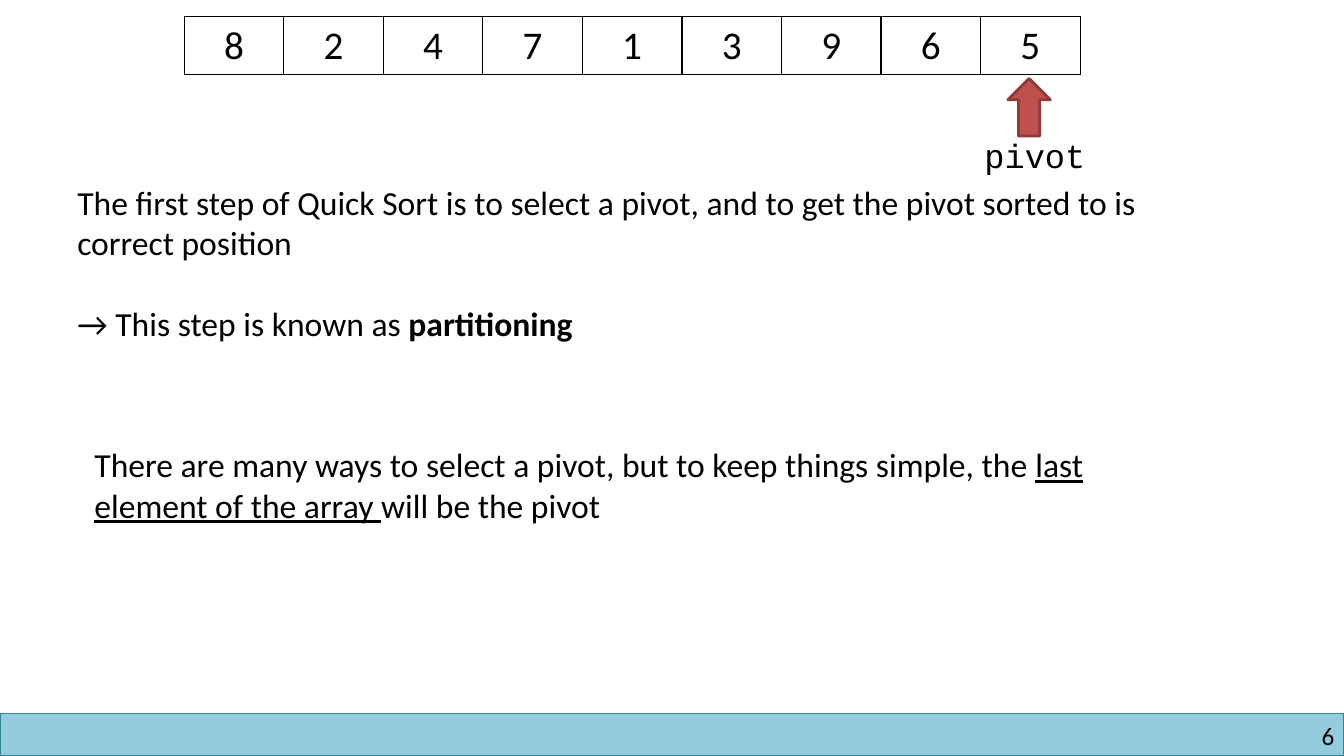
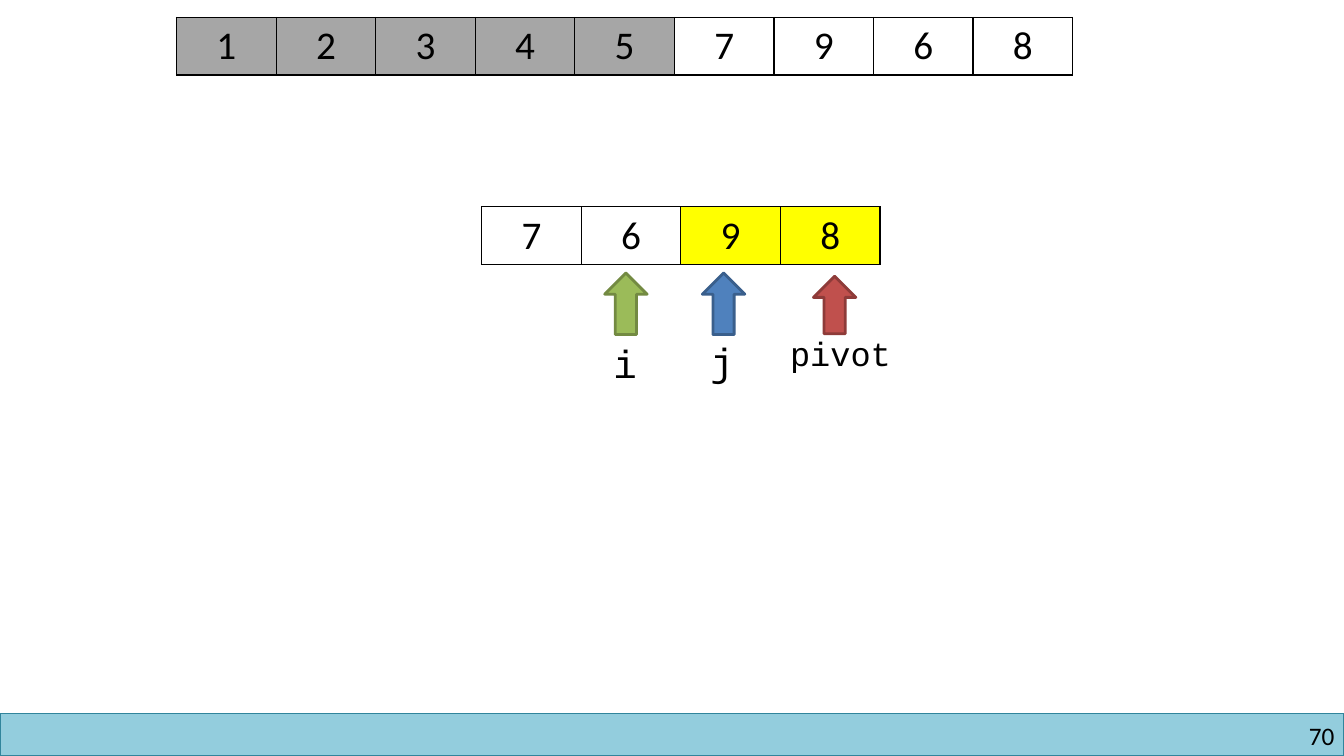
from dataclasses import dataclass

from lxml.etree import SubElement
from pptx import Presentation
from pptx.dml.color import RGBColor
from pptx.enum.shapes import MSO_SHAPE
from pptx.enum.text import PP_ALIGN
from pptx.oxml.ns import qn
from pptx.util import Cm, Pt


@dataclass(frozen=True)
class Theme:
    ink: RGBColor = RGBColor.from_string("000000")
    open_cell: RGBColor = RGBColor.from_string("FFFFFF")
    sorted_cell: RGBColor = RGBColor.from_string("A6A6A6")
    larger_cell: RGBColor = RGBColor.from_string("FFFF00")
    band: RGBColor = RGBColor.from_string("93CDDD")
    band_edge: RGBColor = RGBColor.from_string("31859C")
    pivot: RGBColor = RGBColor.from_string("C0504D")
    pivot_edge: RGBColor = RGBColor.from_string("8E3B39")
    j: RGBColor = RGBColor.from_string("4F81BD")
    j_edge: RGBColor = RGBColor.from_string("3A5F8C")
    i: RGBColor = RGBColor.from_string("9BBB59")
    i_edge: RGBColor = RGBColor.from_string("738A42")
    body_font: str = "Calibri"
    code_font: str = "Courier New"
    number_size: Pt = Pt(18)
    body_size: Pt = Pt(24)
    array_size: Pt = Pt(28)
    paragraph_gap: Pt = Pt(29)


theme = Theme()


def add_text(slide, box, paragraphs, font, size, wrap=True):
    frame = slide.shapes.add_textbox(*map(Cm, box)).text_frame
    frame.word_wrap = wrap
    for index, pieces in enumerate(paragraphs):
        paragraph = frame.add_paragraph() if index else frame.paragraphs[0]
        if index:
            paragraph.space_before = theme.paragraph_gap
        for words, emphasis in pieces:
            run = paragraph.add_run()
            run.text = words
            run.font.name = font
            run.font.size = size
            run.font.color.rgb = theme.ink
            run.font.bold = emphasis == "bold"
            run.font.underline = emphasis == "underline"
    return frame


def add_array(slide, left, top, values, fills):
    cell_width, cell_height = 2.51, 1.45
    table = slide.shapes.add_table(
        1, len(values), Cm(left), Cm(top), Cm(cell_width * len(values)), Cm(cell_height)
    ).table
    table.first_row = False
    table.horz_banding = False
    for column, value, fill in zip(table.columns, values, fills):
        column.width = Cm(cell_width)
    for cell, value, fill in zip(table.iter_cells(), values, fills):
        properties = cell._tc.get_or_add_tcPr()
        for side in ("lnL", "lnR", "lnT", "lnB"):
            edge = SubElement(properties, qn(f"a:{side}"), w=str(Pt(1)))
            SubElement(SubElement(edge, qn("a:solidFill")), qn("a:srgbClr"), val=str(theme.ink))
        cell.fill.solid()
        cell.fill.fore_color.rgb = fill
        cell.text_frame.text = str(value)
        paragraph = cell.text_frame.paragraphs[0]
        paragraph.alignment = PP_ALIGN.CENTER
        font = paragraph.runs[0].font
        font.name = theme.body_font
        font.size = theme.array_size
        font.color.rgb = theme.ink


presentation = Presentation()
presentation.slide_width = Cm(33.87)
presentation.slide_height = Cm(19.05)
blank_layout = presentation.slide_layouts[6]
partitioning = presentation.slides.add_slide(blank_layout)
right_side = presentation.slides.add_slide(blank_layout)

band = partitioning.shapes.add_shape(
    MSO_SHAPE.RECTANGLE, 0, Cm(17.98), presentation.slide_width, Cm(1.07)
)
band.shadow.inherit = False
band.fill.solid()
band.fill.fore_color.rgb = theme.band
band.line.color.rgb = theme.band_edge
band.line.width = Pt(1)
blank_layout.shapes._spTree.append(band._element)

for slide, number in ((partitioning, "6"), (right_side, "70")):
    frame = add_text(
        slide, (25.83, 18.16, 7.8, 0.76), [[(number, None)]], theme.body_font, theme.number_size
    )
    frame.margin_left = frame.margin_right = frame.margin_top = frame.margin_bottom = 0
    frame.paragraphs[0].alignment = PP_ALIGN.RIGHT

add_array(partitioning, 4.64, 0.42, [8, 2, 4, 7, 1, 3, 9, 6, 5], [theme.open_cell] * 9)
add_array(
    right_side, 4.45, 0.44, [1, 2, 3, 4, 5, 7, 9, 6, 8],
    [theme.sorted_cell] * 5 + [theme.open_cell] * 4,
)
add_array(
    right_side, 12.14, 5.21, [7, 6, 9, 8],
    [theme.open_cell] * 2 + [theme.larger_cell] * 2,
)

explanations = [
    ((1.7, 4.45, 28.47, 4.37), [
        [("The first step of Quick Sort is to select a pivot, and to get the pivot "
          "sorted to is correct position", None)],
        [("→ This step is known as ", None), ("partitioning", "bold")],
    ]),
    ((2.13, 11.07, 25.83, 2.31), [
        [("There are many ways to select a pivot, but to keep things simple, the ", None),
         ("last element of the array ", "underline"),
         ("will be the pivot", None)],
    ]),
]
for box, paragraphs in explanations:
    add_text(partitioning, box, paragraphs, theme.body_font, theme.body_size)

pivot_style = ("pivot", theme.pivot, theme.pivot_edge, 1.45, theme.body_size, (3.07, 1.27))
j_style = ("j", theme.j, theme.j_edge, 1.55, theme.array_size, (1.12, 1.45))
i_style = ("i", theme.i, theme.i_edge, 1.55, theme.array_size, (1.12, 1.45))
markers = [
    (partitioning, pivot_style, (25.4, 1.98), (24.56, 3.28)),
    (right_side, pivot_style, (20.5, 6.96), (19.66, 8.26)),
    (right_side, j_style, (17.7, 6.88), (17.65, 8.38)),
    (right_side, i_style, (15.24, 6.88), (15.21, 8.43)),
]
for slide, style, arrow_place, label_place in markers:
    label, fill, edge, arrow_height, label_size, label_extent = style
    arrow = slide.shapes.add_shape(
        MSO_SHAPE.UP_ARROW, *map(Cm, (*arrow_place, 1.07, arrow_height))
    )
    arrow.shadow.inherit = False
    arrow.fill.solid()
    arrow.fill.fore_color.rgb = fill
    arrow.line.color.rgb = edge
    arrow.line.width = Pt(2)
    add_text(
        slide, label_place + label_extent, [[(label, None)]],
        theme.code_font, label_size, wrap=False,
    )

presentation.save("out.pptx")
